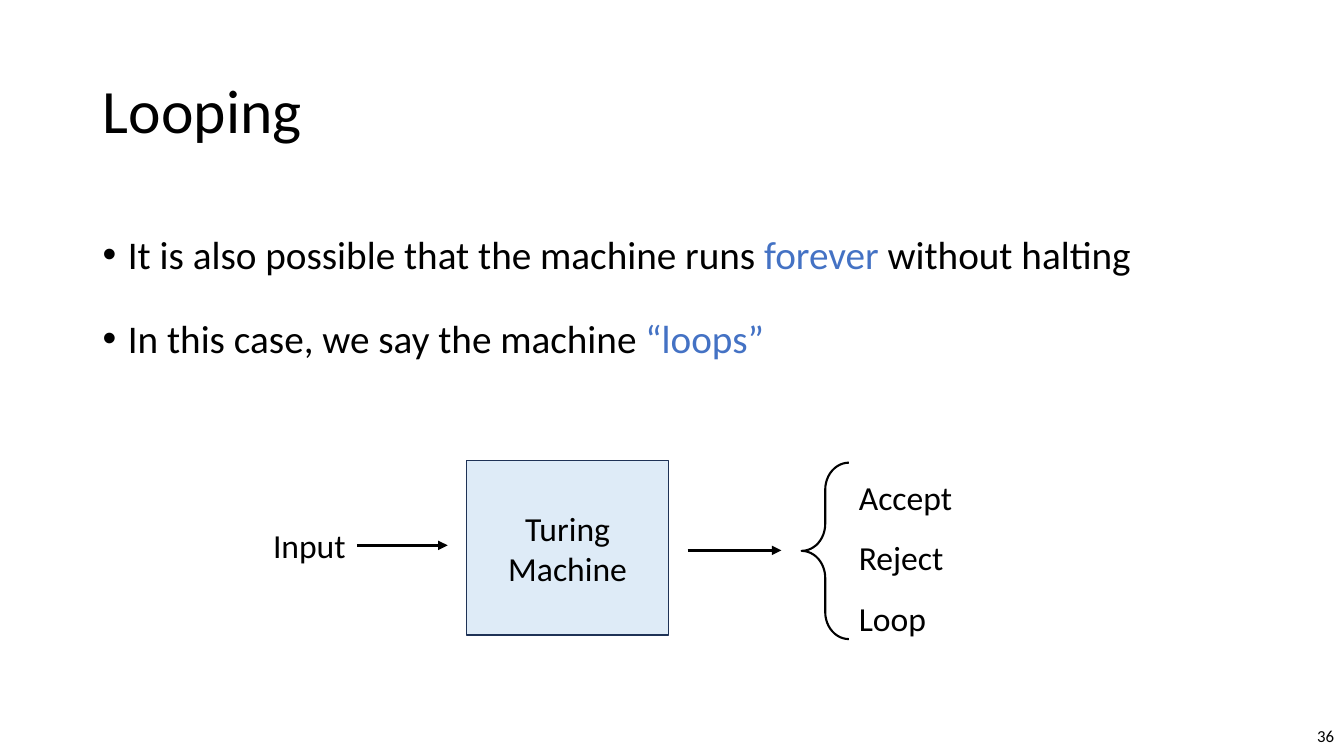
"""Build the Looping slide: two bullets above a Turing machine diagram."""
from dataclasses import dataclass
from typing import Optional

from lxml.etree import SubElement
from pptx import Presentation
from pptx.dml.color import RGBColor
from pptx.enum.shapes import MSO_CONNECTOR, MSO_SHAPE
from pptx.enum.text import MSO_ANCHOR as Anchor, MSO_AUTO_SIZE, PP_ALIGN as Align
from pptx.oxml.ns import qn
from pptx.util import Inches, Pt


@dataclass(frozen=True)
class Theme:
    font: str = "Calibri"
    ink: RGBColor = RGBColor(0, 0, 0)
    accent: RGBColor = RGBColor(0x44, 0x72, 0xC4)
    machine_fill: RGBColor = RGBColor(0xDE, 0xEB, 0xF7)
    machine_line: RGBColor = RGBColor(0x1E, 0x32, 0x56)
    title: int = 44
    body: int = 28
    label: int = 24
    number: int = 12


@dataclass(frozen=True)
class Box:
    left: float
    top: float
    width: float
    height: float

    def lengths(self) -> list:
        return [Inches(v) for v in (self.left, self.top, self.width, self.height)]


@dataclass(frozen=True)
class Run:
    text: str
    accent: bool = False


@dataclass(frozen=True)
class Label:
    box: Box
    lines: tuple
    size: int
    align: Align = Align.LEFT
    anchor: Anchor = Anchor.TOP
    spacing: float = 1.0
    space_before: int = 0
    bulleted: bool = False
    wrap: bool = True


@dataclass(frozen=True)
class Arrow:
    left: float
    right: float
    y: float
    source: Optional[object] = None


THEME = Theme()
TITLE = Label(Box(0.92, 0.4, 11.5, 1.45), ((Run("Looping"),),), THEME.title,
              anchor=Anchor.MIDDLE, spacing=0.9)
POINTS = Label(
    Box(0.92, 2, 11.5, 4.76),
    ((Run("It is also possible that the machine runs "), Run("forever", True),
      Run(" without halting")),
     (Run("In this case, we say the machine "), Run("“loops”", True))),
    THEME.body, spacing=1.5, space_before=10, bulleted=True)
NUMBER = Label(Box(10.33, 7.1, 3, 0.4), ((Run("36"),),), THEME.number,
               Align.RIGHT, Anchor.MIDDLE)
INPUT = Label(Box(2.61, 5.16, 0.93, 0.5), ((Run("Input"),),), THEME.label, wrap=False)
MACHINE = Label(Box(4.63, 4.57, 2, 1.73), ((Run("Turing Machine"),),), THEME.label,
                Align.CENTER, Anchor.MIDDLE)
OUTCOMES = Label(Box(8.42, 4.48, 2.3, 1.86),
                 tuple((Run(name),) for name in ("Accept", "Reject", "Loop")),
                 THEME.label, spacing=1.5)
BRACE = Box(7.95, 4.59, 0.47, 1.75)


def add_bullet(paragraph) -> None:
    props = paragraph._p.get_or_add_pPr()
    props.set("marL", str(Inches(0.25)))
    props.set("indent", str(Inches(-0.25)))
    SubElement(props, qn("a:buFont")).set("typeface", "Arial")
    SubElement(props, qn("a:buChar")).set("char", "•")


def write(frame, label: Label) -> None:
    frame.word_wrap = label.wrap
    frame.auto_size = MSO_AUTO_SIZE.NONE
    frame.vertical_anchor = label.anchor
    for index, runs in enumerate(label.lines):
        paragraph = frame.add_paragraph() if index else frame.paragraphs[0]
        if label.bulleted:
            add_bullet(paragraph)
        paragraph.alignment = label.align
        paragraph.line_spacing = label.spacing
        paragraph.space_before = Pt(label.space_before if index else 0)
        paragraph.font.name = THEME.font
        paragraph.font.size = Pt(label.size)
        paragraph.font.color.rgb = THEME.ink
        for part in runs:
            run = paragraph.add_run()
            run.text = part.text
            if part.accent:
                run.font.color.rgb = THEME.accent


def add_label(slide, label: Label):
    text_box = slide.shapes.add_textbox(*label.box.lengths())
    write(text_box.text_frame, label)
    return text_box


def add_title(slide, label: Label) -> None:
    title = slide.shapes.title
    title.left, title.top, title.width, title.height = label.box.lengths()
    write(title.text_frame, label)


def add_machine(slide, label: Label) -> None:
    machine = slide.shapes.add_shape(MSO_SHAPE.RECTANGLE, *label.box.lengths())
    machine.shadow.inherit = False
    machine.fill.solid()
    machine.fill.fore_color.rgb = THEME.machine_fill
    machine.line.color.rgb = THEME.machine_line
    machine.line.width = Pt(1)
    write(machine.text_frame, label)


def add_brace(slide, box: Box) -> None:
    brace = slide.shapes.add_shape(MSO_SHAPE.LEFT_BRACE, *box.lengths())
    brace.shadow.inherit = False
    brace.adjustments[0] = 0.57
    brace.fill.background()
    brace.line.color.rgb = THEME.ink
    brace.line.width = Pt(1.5)


def add_arrow(slide, arrow: Arrow) -> None:
    y = Inches(arrow.y)
    connector = slide.shapes.add_connector(
        MSO_CONNECTOR.STRAIGHT, Inches(arrow.left), y, Inches(arrow.right), y)
    if arrow.source is not None:
        connector.begin_connect(arrow.source, 3)
    connector.line.color.rgb = THEME.ink
    connector.line.width = Pt(2.25)
    SubElement(connector.line._get_or_add_ln(), qn("a:tailEnd")).set("type", "triangle")
    SubElement(connector._element.spPr, qn("a:effectLst"))


def main() -> None:
    deck = Presentation()
    deck.slide_width, deck.slide_height = Inches(13.33), Inches(7.5)
    slide = deck.slides.add_slide(deck.slide_layouts[5])
    add_title(slide, TITLE)
    add_label(slide, POINTS)
    add_label(slide, NUMBER)
    input_label = add_label(slide, INPUT)
    add_machine(slide, MACHINE)
    for arrow in (Arrow(3.54, 4.44, 5.41, input_label), Arrow(6.82, 7.75, 5.46)):
        add_arrow(slide, arrow)
    add_brace(slide, BRACE)
    add_label(slide, OUTCOMES)
    deck.save("out.pptx")


if __name__ == "__main__":
    main()
